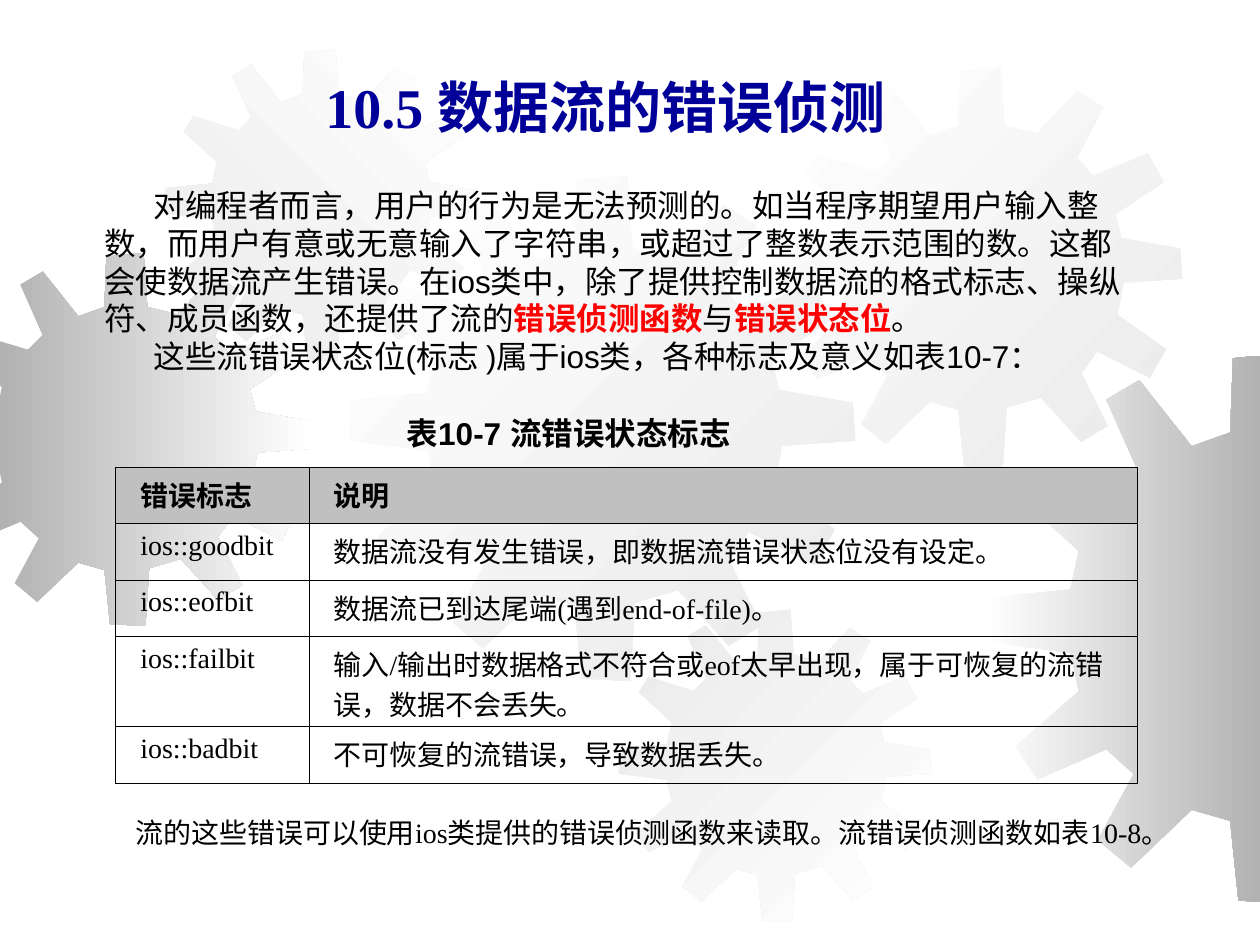
from dataclasses import dataclass
from typing import Optional

from lxml.etree import SubElement
from pptx import Presentation
from pptx.dml.color import RGBColor
from pptx.enum.text import MSO_ANCHOR as Anchor, MSO_AUTO_SIZE as AutoSize, PP_ALIGN as Align
from pptx.oxml.ns import qn
from pptx.util import Cm, Pt

BLACK = RGBColor(0x00, 0x00, 0x00)
WHITE = RGBColor(0xFF, 0xFF, 0xFF)
RED = RGBColor(0xFF, 0x00, 0x00)
NAVY = RGBColor(0x00, 0x00, 0x99)
HEADER_GREY = RGBColor(0xC0, 0xC0, 0xC0)
GEAR_GREY = RGBColor(0xB2, 0xB2, 0xB2)
PALE_GREY = RGBColor(0xEA, 0xEA, 0xEA)

SANS, SERIF = "Arial", "Times New Roman"
PAGE_WIDTH, PAGE_HEIGHT = 25.4, 19.05

# Gear outline as percentages of its width and height
GEAR_OUTLINE = [
    (64, 16.5), (56, 14.5), (55, 0), (45, 1), (44.5, 14.5), (37.5, 17),
    (28, 5), (22, 8.5), (28, 22), (24, 26), (9.5, 21.5), (6.5, 26.5),
    (17, 36), (15.5, 43), (0.5, 44.5), (0, 52.5), (15.5, 54.5), (17, 61.5),
    (5.5, 71.5), (9.5, 77.5), (22, 72), (27, 76.5), (20.5, 88.5), (26.5, 93.5),
    (37.5, 83), (44.5, 85), (46, 99.5), (55.5, 100), (56.5, 84.5), (65, 82),
    (75, 93), (81.5, 89), (75, 76), (79, 70.5), (92, 77), (96, 70),
    (84, 61.5), (85.5, 53.5), (100, 52.5), (99.5, 45), (85, 42.5), (83.5, 36.5),
    (95.5, 28.5), (91.5, 21.5), (78, 27), (74, 22.5), (80.5, 10), (74, 6),
]


@dataclass
class Gear:
    left: float
    top: float
    size: float
    start: RGBColor
    end: Optional[RGBColor] = None
    angle: int = 0  # counter-clockwise


@dataclass
class Span:
    text: str
    color: RGBColor = BLACK
    bold: bool = False


GEARS = [
    Gear(-1.24, 5.1, 7.52, GEAR_GREY, WHITE),
    Gear(3.3, 0.99, 6.3, PALE_GREY, WHITE, 45),
    Gear(7.04, 3.53, 10.2, WHITE, PALE_GREY, 315),
    Gear(0, 13.34, 9.5, WHITE),
    Gear(12.47, 12.29, 6.3, PALE_GREY, WHITE, 315),
    Gear(15.7, 1.35, 8.13, WHITE, PALE_GREY, 315),
    Gear(19.86, 7.11, 11.1, WHITE, GEAR_GREY),
]

INTRO = [
    [Span("对编程者而言，用户的行为是无法预测的。如当程序期望用户输入整数，而用户有意或无意输入了字符串，"
          "或超过了整数表示范围的数。这都会使数据流产生错误。在ios类中，除了提供控制数据流的格式标志、"
          "操纵符、成员函数，还提供了流的"),
     Span("错误侦测函数", RED, True), Span("与"), Span("错误状态位", RED, True), Span("。")],
    [Span("这些流错误状态位(标志 )属于ios类，各种标志及意义如表10-7：")],
]

FLAGS = [
    ("错误标志", "说明"),
    ("ios::goodbit", "数据流没有发生错误，即数据流错误状态位没有设定。"),
    ("ios::eofbit", "数据流已到达尾端(遇到end-of-file)。"),
    ("ios::failbit", "输入/输出时数据格式不符合或eof太早出现，属于可恢复的流错误，数据不会丢失。"),
    ("ios::badbit", "不可恢复的流错误，导致数据丢失。"),
]
COLUMN_WIDTHS = [3.9, 16.7]
ROW_HEIGHTS = [1.14, 1.14, 1.14, 1.81, 1.14]


def clip(points: list, axis: int, limit: float, sign: int) -> list:
    """Keep the part of a polygon where sign * (coordinate - limit) <= 0."""
    kept = []
    for a, b in zip(points, points[1:] + points[:1]):
        over_a, over_b = (sign * (p[axis] - limit) for p in (a, b))
        if over_a <= 0:
            kept.append(a)
        if over_a * over_b < 0:
            t = over_a / (over_a - over_b)
            kept.append(tuple(u + t * (v - u) for u, v in zip(a, b)))
    return kept


def draw_gear(page, gear: Gear) -> None:
    points = [(gear.left + x * gear.size / 100, gear.top + y * gear.size / 100)
              for x, y in GEAR_OUTLINE]
    for axis, limit, sign in ((0, 0, -1), (0, PAGE_WIDTH, 1), (1, PAGE_HEIGHT, 1)):
        points = clip(points, axis, limit, sign)
    corners = [(Cm(x), Cm(y)) for x, y in points]
    builder = page.shapes.build_freeform(*corners[0], scale=1.0)
    builder.add_line_segments(corners[1:], close=True)
    shape = builder.convert_to_shape()
    shape.shadow.inherit = False
    shape.line.fill.background()
    if gear.end is None:
        shape.fill.solid()
        shape.fill.fore_color.rgb = gear.start
        color = shape.element.spPr.find(qn("a:solidFill"))[0]
        SubElement(color, qn("a:alpha"), val="50000")
        return
    shape.fill.gradient()
    shape.fill.gradient_angle = gear.angle
    for stop, color in zip(shape.fill.gradient_stops, (gear.start, gear.end)):
        stop.color.rgb = color


def write(para, text: str, *, size: float, font: str, color: RGBColor = BLACK,
          bold: bool = False) -> None:
    span = para.add_run()
    span.text = text
    span.font.size, span.font.name, span.font.bold = Pt(size), font, bold
    span.font.color.rgb = color


def add_box(page, left: float, top: float, width: float, height: float, wrap: bool = True):
    frame = page.shapes.add_textbox(Cm(left), Cm(top), Cm(width), Cm(height)).text_frame
    frame.word_wrap = wrap
    frame.auto_size = AutoSize.SHAPE_TO_FIT_TEXT
    frame.vertical_anchor = Anchor.MIDDLE
    frame.margin_left, frame.margin_right = Cm(0.5), Cm(0.46)
    frame.margin_top = frame.margin_bottom = Cm(0.23)
    return frame


def format_cell(cell, text: str, header: bool) -> None:
    cell.margin_left, cell.margin_right = Cm(0.5), Cm(0.46)
    cell.margin_top = cell.margin_bottom = Cm(0.13)
    write(cell.text_frame.paragraphs[0], text, size=16, font=SERIF, bold=header)
    properties = cell._tc.get_or_add_tcPr()
    for side in ("lnL", "lnR", "lnT", "lnB"):
        line = SubElement(properties, qn(f"a:{side}"), w=str(Pt(0.45)))
        SubElement(SubElement(line, qn("a:solidFill")), qn("a:srgbClr"), val=str(BLACK))
    if header:
        cell.fill.solid()
        cell.fill.fore_color.rgb = HEADER_GREY
    else:
        cell.fill.background()


def add_flag_table(page) -> None:
    frame = page.shapes.add_table(len(FLAGS), 2, Cm(2.33), Cm(9.42),
                                  Cm(sum(COLUMN_WIDTHS)), Cm(sum(ROW_HEIGHTS)))
    table = frame.table
    table.horz_banding = False
    for column, width in zip(table.columns, COLUMN_WIDTHS):
        column.width = Cm(width)
    for index, (row, height) in enumerate(zip(table.rows, ROW_HEIGHTS)):
        row.height = Cm(height)
        for cell, text in zip(row.cells, FLAGS[index]):
            format_cell(cell, text, header=index == 0)


def main() -> None:
    deck = Presentation()
    deck.slide_width, deck.slide_height = Cm(PAGE_WIDTH), Cm(PAGE_HEIGHT)
    page = deck.slides.add_slide(deck.slide_layouts[5])

    # Background gears
    for gear in GEARS:
        draw_gear(page, gear)

    # Introduction: indented first lines, no punctuation past the margin
    frame = add_box(page, 1.6, 3.52, 21.8, 4.27)
    for index, spans in enumerate(INTRO):
        para = frame.add_paragraph() if index else frame.paragraphs[0]
        properties = para._p.get_or_add_pPr()
        properties.set("indent", str(Cm(1)))
        properties.set("hangingPunct", "0")
        for span in spans:
            write(para, span.text, size=18, font=SANS, color=span.color, bold=span.bold)

    # Title, brought in front of the gears
    title = page.shapes.title
    page.shapes.element.append(title.element)
    title.left, title.top, title.width, title.height = Cm(0.78), Cm(1.29), Cm(22.86), Cm(1.68)
    title.text_frame.auto_size = AutoSize.NONE
    title.text_frame.vertical_anchor = Anchor.MIDDLE
    heading = title.text_frame.paragraphs[0]
    heading.alignment = Align.CENTER
    write(heading, "10.5 ", size=32, font=SERIF, color=NAVY, bold=True)
    write(heading, "数据流的错误侦测", size=32, font=SANS, color=NAVY, bold=True)

    # Table with caption and closing remark
    caption = add_box(page, 7.7, 8.12, 10.69, 1.22)
    write(caption.paragraphs[0], "表10-7 流错误状态标志", size=18, font=SANS, bold=True)
    add_flag_table(page)
    remark = add_box(page, 2.24, 16.2, 22.33, 1.14, wrap=False)
    write(remark.paragraphs[0], "流的这些错误可以使用ios类提供的错误侦测函数来读取。流错误侦测函数如表10-8。",
          size=16, font=SERIF)

    deck.save("out.pptx")


if __name__ == "__main__":
    main()
